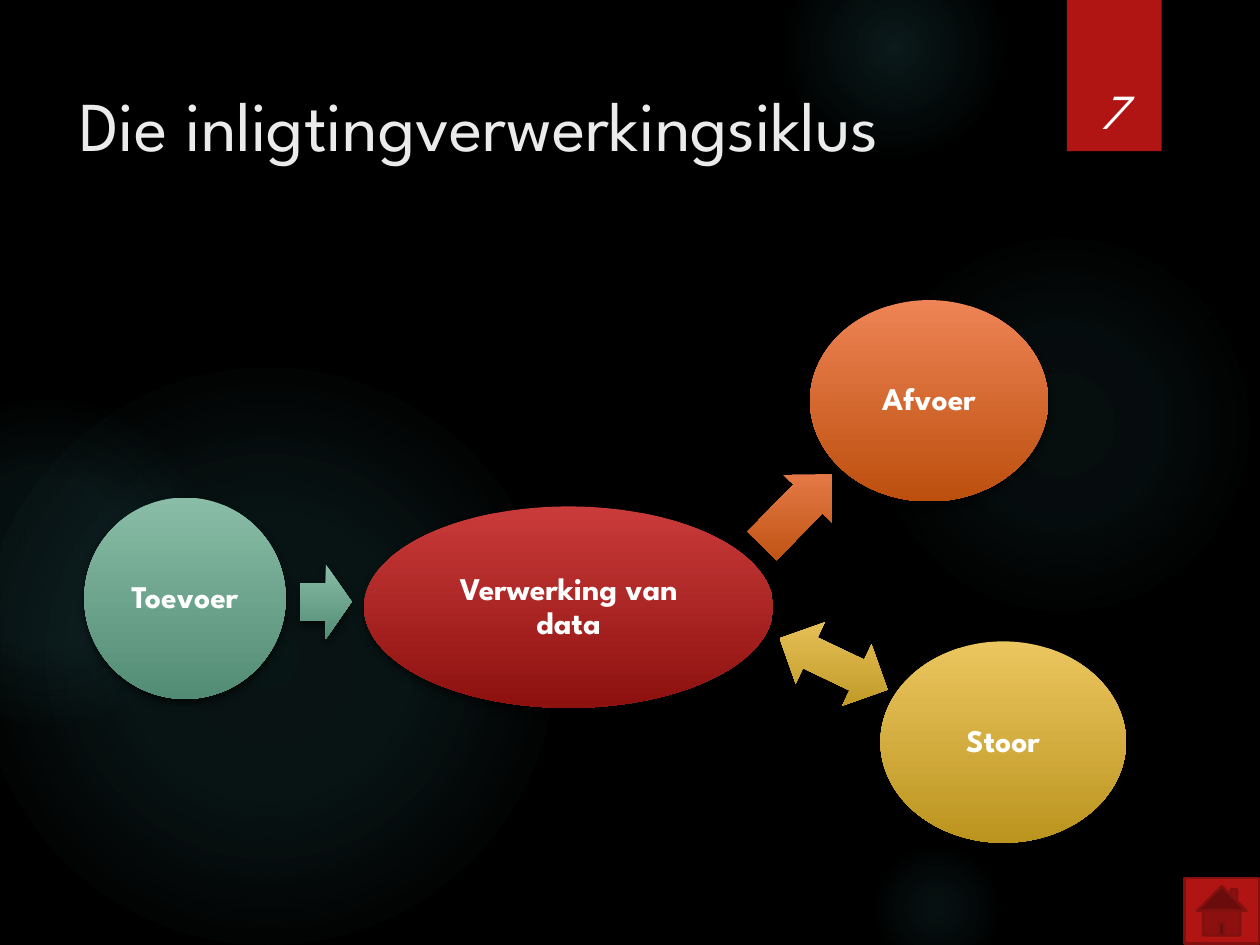
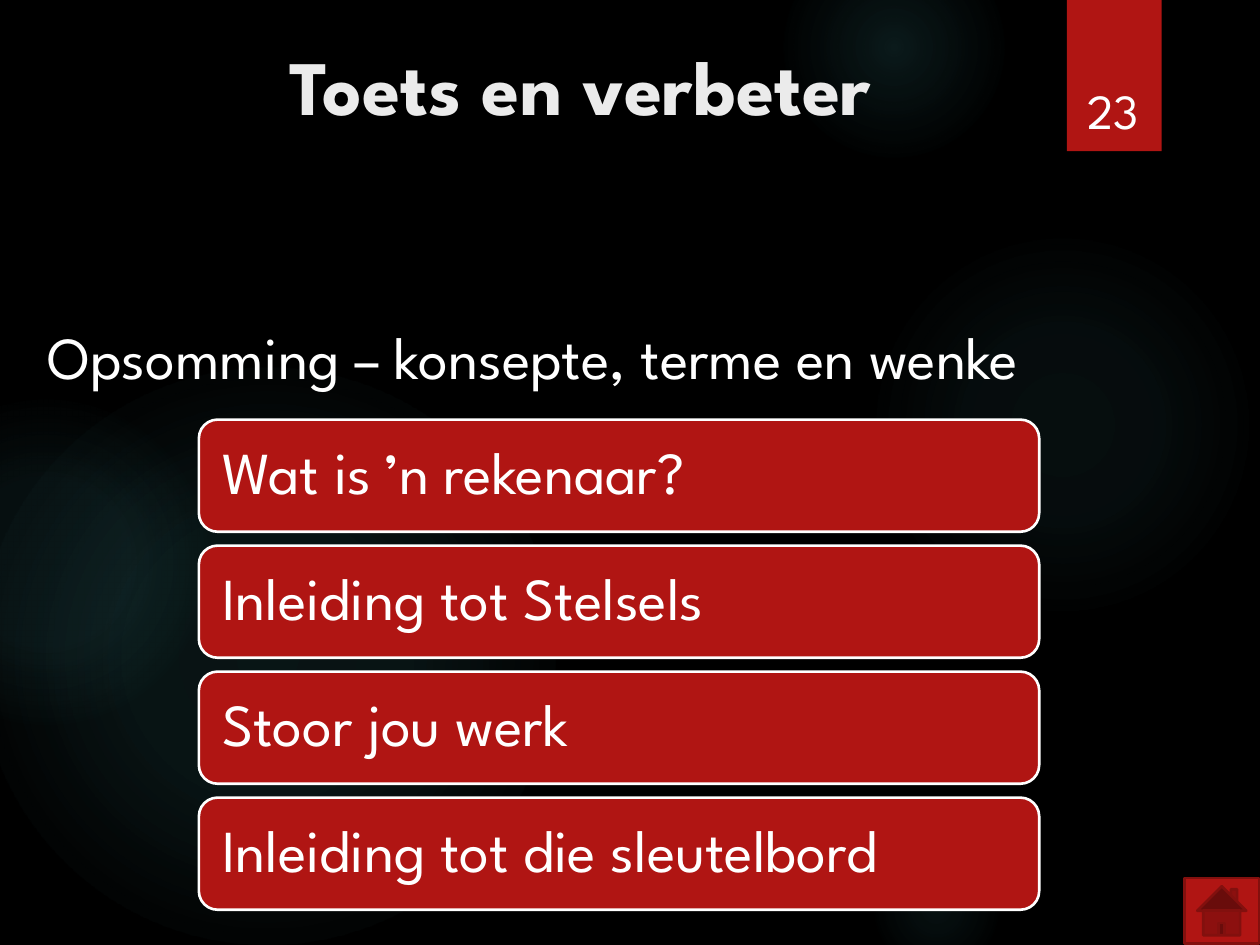
"""Build two dark slides: the information processing cycle and a summary list."""
from dataclasses import dataclass
from lxml.etree import SubElement as Sub
from pptx import Presentation
from pptx.dml.color import RGBColor as Rgb
from pptx.enum.shapes import MSO_SHAPE as Geo
from pptx.enum.text import MSO_ANCHOR as Anchor, PP_ALIGN as Align
from pptx.oxml.ns import qn
from pptx.util import Cm, Pt


@dataclass(frozen=True)
class Theme:
    font: str = "League Spartan"
    back: str = "000000"
    red: str = "B01513"
    edge: str = "82100E"
    glow: str = "50B9C1"
    head: str = "EBEBEB"
    text: str = "FFFFFF"
    node: int = 18
    num: int = 28
    body: int = 34
    title: int = 40
    bold: int = 44
    line: float = 1.5


T = Theme()
TONES = {
    "red": ("C93B3A", "8D110F"),
    "orange": ("EE8455", "BC4F0E"),
    "gold": ("EBC65F", "BB941F"),
    "green": ("89BDA7", "538C74"),
}
GLOWS = [
    (17.5, 4.65, 7.82, ((0, 7), (36, 6), (69, 0))),
    (15.8, -1.27, 4.45, ((0, 14), (36, 7), (73, 0))),
    (17.5, 16.94, 2.74, ((0, 9), (36, 5), (66, 0))),
    (-0.43, 7.42, 11.63, ((0, 11), (36, 10), (75, 0))),
    (-2.34, 8.05, 6.55, ((0, 8), (36, 8), (72, 0))),
]
NODES = [
    ("Verwerking van data", (7.34, 10.21, 8.25, 4.06), "red"),
    ("Afvoer", (16.33, 6.05, 4.8, 4.06), "orange"),
    ("Stoor", (17.75, 12.93, 4.95, 4.06), "gold"),
    ("Toevoer", (1.7, 10.03, 4.06, 4.06), "green"),
]
ARROWS = [
    (Geo.RIGHT_ARROW, (15.06, 9.6, 2.01, 1.37), 314.4, (0.6, 0.5), "orange"),
    (Geo.LEFT_RIGHT_ARROW, (15.6, 12.7, 2.41, 1.37), 25.5, (0.5, 0.5), "gold"),
    (Geo.RIGHT_ARROW, (6.05, 11.38, 1.04, 1.5), 0, (0.5, 0.5), "green"),
]
LEAD = "Opsomming – konsepte, terme en wenke"
CARDS = [
    "Wat is ’n rekenaar?",
    "Inleiding tot Stelsels",
    "Stoor jou werk",
    "Inleiding tot die sleutelbord",
]
CARD = (4.01, 8.46, 16.94, 2.26)
STEP = 2.54
TAB = (21.51, 0, 1.91, 3.05)
NUM = (21.56, 0.81, 1.75, 2.13)
HOME = (23.88, 17.7, 1.5, 1.32)
SOFT = (45, 3, 2)
DEEP = (60, 5, 3)


def put(obj, vals):
    for key, val in vals.items():
        setattr(obj, key, val)


def draw(slide, kind, box, fill=None, line=None):
    shape = slide.shapes.add_shape(kind, *map(Cm, box))
    shape.shadow.inherit = False
    if fill:
        shape.fill.solid()
        shape.fill.fore_color.rgb = Rgb.from_string(fill)
    else:
        shape.fill.background()
    if line:
        shape.line.color.rgb = Rgb.from_string(line)
        shape.line.width = Pt(T.line)
    else:
        shape.line.fill.background()
    return shape


def shade(shape, stops, round_=False):
    """Give a shape a gradient of (place, colour, opacity) stops."""
    props = shape._element.spPr
    old = props.find(qn("a:noFill"))
    grad = Sub(props, qn("a:gradFill"), rotWithShape="0")
    row = Sub(grad, qn("a:gsLst"))
    for at, tone, alpha in stops:
        stop = Sub(row, qn("a:gs"), pos=str(at * 1000))
        color = Sub(stop, qn("a:srgbClr"), val=tone)
        if alpha < 100:
            Sub(color, qn("a:alpha"), val=str(alpha * 1000))
    if round_:
        way = Sub(grad, qn("a:path"), {"path": "circle"})
        Sub(way, qn("a:fillToRect"), dict.fromkeys("ltrb", "50000"))
    else:
        Sub(grad, qn("a:lin"), ang="5400000", scaled="0")
    props.replace(old, grad)


def drop(shape, look):
    alpha, blur, dist = look
    fx = shape._element.spPr.find(qn("a:effectLst"))
    cast = Sub(fx, qn("a:outerShdw"), blurRad=str(Pt(blur)), dist=str(Pt(dist)),
               dir="5400000", rotWithShape="0")
    color = Sub(cast, qn("a:srgbClr"), val="000000")
    Sub(color, qn("a:alpha"), val=str(alpha * 1000))


def tint(shape, tone):
    top, low = TONES[tone]
    shade(shape, ((0, top, 100), (100, low, 100)))
    drop(shape, DEEP)


def write(shape, words, size, color=T.text, frame=None, para=None, **font):
    body = shape.text_frame
    put(body, {"word_wrap": True, "vertical_anchor": Anchor.TOP} | (frame or {}))
    first = body.paragraphs[0]
    put(first, {"alignment": Align.LEFT} | (para or {}))
    run = first.add_run()
    run.text = words
    put(run.font, {"name": T.font, "size": Pt(size), **font})
    run.font.color.rgb = Rgb.from_string(color)


def label(slide, box, *args, **look):
    write(slide.shapes.add_textbox(*map(Cm, box)), *args, **look)


def inset(gap):
    sides = ("left", "top", "right", "bottom")
    return {f"margin_{side}": Cm(gap) for side in sides}


def start(deck):
    slide = deck.slides.add_slide(deck.slide_layouts[6])
    slide.background.fill.solid()
    slide.background.fill.fore_color.rgb = Rgb.from_string(T.back)
    for left, top, size, stops in GLOWS:
        glow = draw(slide, Geo.OVAL, (left, top, size, size))
        shade(glow, [(at, T.glow, alpha) for at, alpha in stops], True)
    drop(draw(slide, Geo.RECTANGLE, TAB, T.red), SOFT)
    return slide


def finish(slide, num, **font):
    label(slide, NUM, num, T.num, frame={"vertical_anchor": Anchor.BOTTOM},
          para={"alignment": Align.CENTER}, **font)
    draw(slide, Geo.ACTION_BUTTON_HOME, HOME, T.red, T.edge)


def cycle(deck):
    slide = start(deck)
    label(slide, (1.35, 1.27, 22.66, 3.89), "Die inligtingverwerkingsiklus",
          T.title, T.head, para={"line_spacing": 1.15, "space_after": Pt(6)})
    for kind, box, turn, bends, tone in ARROWS:
        arrow = draw(slide, kind, box)
        arrow.rotation = turn
        for i, bend in enumerate(bends):
            arrow.adjustments[i] = bend
        tint(arrow, tone)
    for words, box, tone in NODES:
        node = draw(slide, Geo.OVAL, box)
        tint(node, tone)
        write(node, words, T.node, bold=True,
              frame={"vertical_anchor": Anchor.MIDDLE} | inset(0.08),
              para={"alignment": Align.CENTER, "line_spacing": 0.9})
    finish(slide, "7", italic=True)


def review(deck):
    slide = start(deck)
    label(slide, (1.35, 1.27, 21.16, 2.67), "Toets en verbeter", T.bold, T.head,
          frame={"vertical_anchor": Anchor.MIDDLE, "margin_right": Cm(0.7),
                 "margin_bottom": Cm(1.93)},
          para={"alignment": Align.CENTER}, bold=True)
    label(slide, (0.71, 6.12, 24.69, 1.78), LEAD, T.body,
          para={"line_spacing": 1.15, "space_after": Pt(6)})
    left, top, width, height = CARD
    for i, words in enumerate(CARDS):
        box = (left, top + i * STEP, width, height)
        card = draw(slide, Geo.ROUNDED_RECTANGLE, box, T.red, T.text)
        write(card, words, T.body, para={"line_spacing": 0.9},
              frame={"vertical_anchor": Anchor.MIDDLE} | inset(0.36))
    finish(slide, "23")


def main():
    deck = Presentation()
    put(deck, {"slide_width": Cm(25.4), "slide_height": Cm(19.05)})
    cycle(deck)
    review(deck)
    deck.save("out.pptx")


if __name__ == "__main__":
    main()
